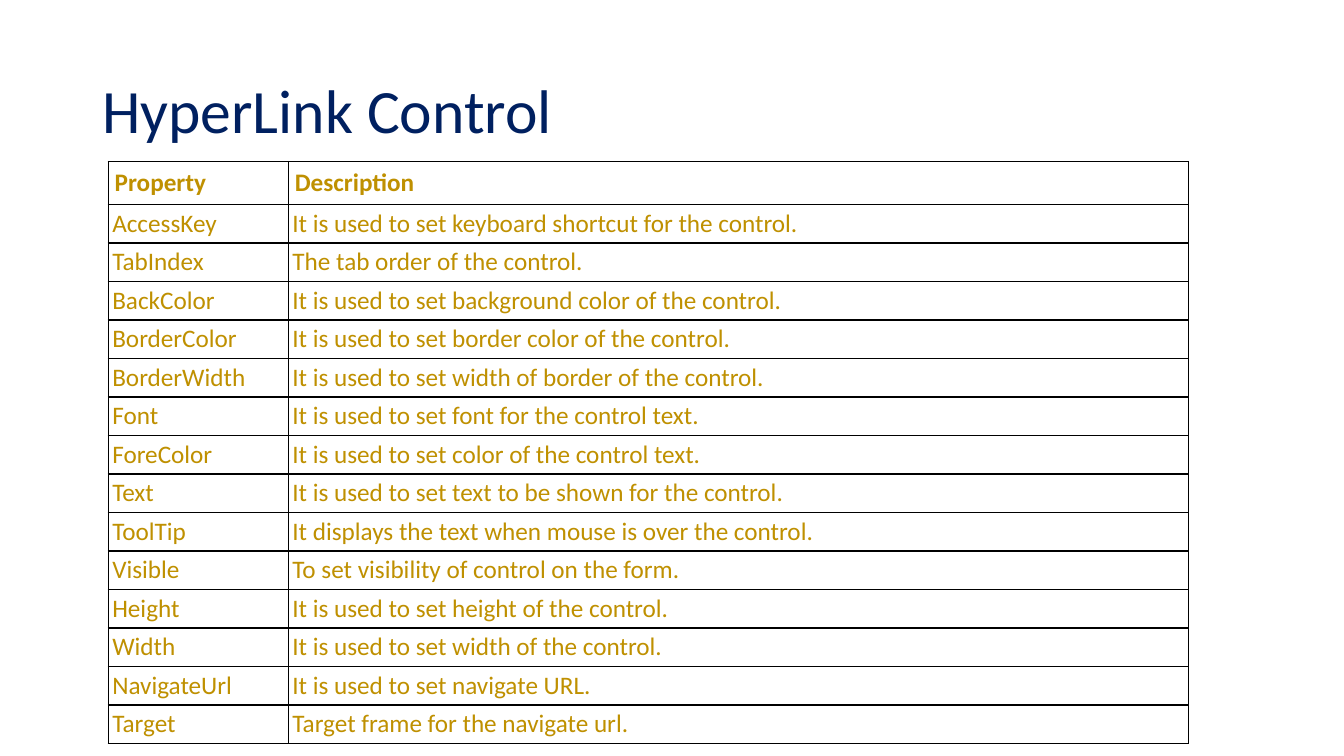
from lxml import etree
from pptx import Presentation
from pptx.dml.color import RGBColor
from pptx.enum.text import MSO_ANCHOR, PP_ALIGN
from pptx.oxml.ns import qn
from pptx.util import Cm, Pt

NAVY = RGBColor(0x00, 0x20, 0x60)
GOLD = RGBColor(0xBF, 0x90, 0x00)
BLACK = RGBColor(0x00, 0x00, 0x00)
MIDDLE = MSO_ANCHOR.MIDDLE
LEFT, JUSTIFY = PP_ALIGN.LEFT, PP_ALIGN.JUSTIFY

TITLE = {"size": Pt(44), "color": NAVY, "bold": False}
HEADER = {"size": Pt(18), "color": GOLD, "bold": True}
BODY = {"size": Pt(18), "color": GOLD, "bold": False}

PROPERTIES = [
    ("Property", "Description"),
    ("AccessKey", "It is used to set keyboard shortcut for the control."),
    ("TabIndex", "The tab order of the control."),
    ("BackColor", "It is used to set background color of the control."),
    ("BorderColor", "It is used to set border color of the control."),
    ("BorderWidth", "It is used to set width of border of the control."),
    ("Font", "It is used to set font for the control text."),
    ("ForeColor", "It is used to set color of the control text."),
    ("Text", "It is used to set text to be shown for the control."),
    ("ToolTip", "It displays the text when mouse is over the control."),
    ("Visible", "To set visibility of control on the form."),
    ("Height", "It is used to set height of the control."),
    ("Width", "It is used to set width of the control."),
    ("NavigateUrl", "It is used to set navigate URL."),
    ("Target", "Target frame for the navigate url."),
]


def set_attrs(obj, values):
    """Set each attribute named in a dict."""
    for name, value in values.items():
        setattr(obj, name, value)


class SlideBuilder:
    """Holds the style and the current slide."""

    font = "Calibri"
    border_color = BLACK
    border_width = Pt(1)

    def __init__(self, prs):
        """Add a blank slide to the presentation."""
        self.slide = prs.slides.add_slide(prs.slide_layouts[6])

    def run(self, p, text, style):
        """Add one run in the given style to a paragraph."""
        r = p.add_run()
        r.text = text
        set_attrs(r.font, {"name": self.font, "size": style["size"], "bold": style["bold"]})
        r.font.color.rgb = style["color"]

    def text(self, box, text, style):
        """Add a vertically centred text box."""
        sp = self.slide.shapes.add_textbox(*map(Cm, box))
        tf = sp.text_frame
        set_attrs(tf, {"word_wrap": True, "vertical_anchor": MIDDLE})
        p = tf.paragraphs[0]
        p.line_spacing = 0.9
        self.run(p, text, style)

    def borders(self, cell):
        """Draw a solid line on all four sides of a cell."""
        tc_pr = cell._tc.get_or_add_tcPr()
        for side in ("a:lnL", "a:lnR", "a:lnT", "a:lnB"):
            ln = etree.SubElement(tc_pr, qn(side), w=str(int(self.border_width)))
            fill = etree.SubElement(ln, qn("a:solidFill"))
            etree.SubElement(fill, qn("a:srgbClr"), val=str(self.border_color))

    def cell(self, cell, text, style, margin, align):
        """Fill in one unfilled, bordered table cell."""
        sides = ("left", "right", "top", "bottom")
        set_attrs(cell, {f"margin_{side}": margin for side in sides})
        self.borders(cell)
        cell.fill.background()
        p = cell.text_frame.paragraphs[0]
        p.alignment = align
        self.run(p, text, style)

    def table(self, left, top, widths, header_height, row_height, rows):
        """Add a table whose first row is the header."""
        heights = [header_height] + [row_height] * (len(rows) - 1)
        box = map(Cm, (left, top, sum(widths), sum(heights)))
        table = self.slide.shapes.add_table(len(rows), len(widths), *box).table
        set_attrs(table, {"first_row": False, "horz_banding": False})
        for column, width in zip(table.columns, widths):
            column.width = Cm(width)
        for i, (row, height, texts) in enumerate(zip(table.rows, heights, rows)):
            row.height = Cm(height)
            look = (BODY, Cm(0.1), JUSTIFY) if i else (HEADER, Cm(0.16), LEFT)
            for cell, text in zip(row.cells, texts):
                self.cell(cell, text, *look)


def main():
    """Build the slide and save it."""
    prs = Presentation()
    set_attrs(prs, {"slide_width": Cm(33.87), "slide_height": Cm(19.05)})
    s = SlideBuilder(prs)
    s.text((2.33, 1.01, 29.21, 3.68), "HyperLink Control", TITLE)
    s.table(2.73, 4.07, (4.54, 22.68), 1.06, 0.97, PROPERTIES)
    prs.save("out.pptx")


main()
